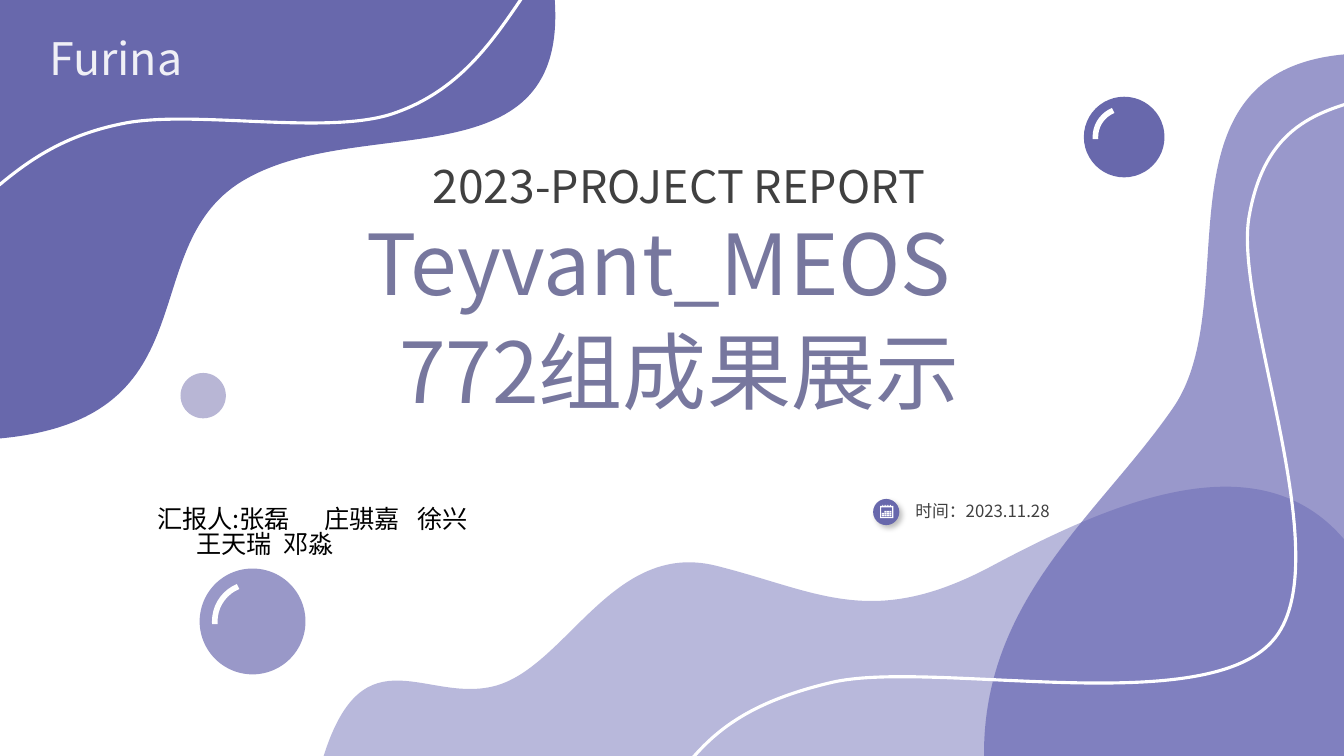
from dataclasses import dataclass

from lxml.etree import SubElement
from pptx import Presentation
from pptx.dml.color import RGBColor
from pptx.enum.shapes import MSO_SHAPE
from pptx.enum.text import MSO_ANCHOR, MSO_AUTO_SIZE, PP_ALIGN
from pptx.oxml.ns import qn
from pptx.util import Inches, Pt

FONT = "Noto Sans CJK SC"
COLORS = {
    "violet": "6362B0", "deep": "6868AC", "ball": "9998C8", "dot": "B8B6D5",
    "title": "77779E", "text": "404040", "black": "000000", "white": "FFFFFF",
}


@dataclass
class Curve:
    """Each step holds an end point, or two control points and an end point."""
    box: tuple[float, ...]
    start: tuple[float, float]
    steps: list[tuple[float, ...]]
    color: str
    alpha: int = 100
    closed: bool = True


@dataclass
class Ball:
    left: float
    top: float
    size: float
    color: str
    inset: float = 0


@dataclass
class Label:
    """Each line is a list of (text, size) runs."""
    box: tuple[float, ...]
    lines: list[list[tuple[str, float]]]
    color: str
    align: PP_ALIGN = PP_ALIGN.CENTER
    alpha: int = 100
    spacing: float = 0.89
    right: float = 0.1
    tabs: tuple[tuple[float, ...], ...] = ()


CURVES = [
    Curve((3.21, 4.83, 10.12, 2.67), (4.93, 6.8), [
        (5.63, 6.59, 6.08, 5.37, 7.09, 5.61), (8.1, 5.86, 8.63, 6.25, 9.81, 5.63),
        (10.99, 5, 12.47, 4.34, 13.33, 5.35), (13.33, 7.5), (3.21, 7.5),
        (3.61, 6.24, 4.24, 7, 4.93, 6.8)], "violet", 45),
    Curve((0, -0.03, 5.51, 4.38), (0, 0), [
        (5.5, -0.03), (5.65, 1.83, 3.61, 1.12, 2.45, 1.77),
        (1.29, 2.41, 2.15, 4.15, 0, 4.35), (0, 0)], "deep"),
    Curve((9.76, 0.54, 3.57, 6.96), (11.64, 4.04), [
        (12.36, 2.98, 11.39, 0.72, 13.33, 0.54), (13.33, 7.5), (9.76, 7.5),
        (9.75, 5.93, 10.91, 5.1, 11.64, 4.04)], "violet", 65),
    Curve((6.69, 0.96, 6.92, 6.78), (13.61, 0.96), [
        (13.08, 1.1, 12.55, 1.24, 12.39, 2.14), (12.22, 3.04, 13.31, 5.59, 12.62, 6.36),
        (11.93, 7.14, 9.24, 6.54, 8.25, 6.77), (7.27, 7, 6.98, 7.37, 6.69, 7.74)],
        "white", closed=False),
    Curve((-0.2, -0.07, 5.41, 2.07), (-0.2, 2), [
        (0.16, 1.69, 0.52, 1.37, 1.2, 1.23), (1.88, 1.08, 3.22, 1.35, 3.89, 1.13),
        (4.55, 0.91, 4.88, 0.42, 5.21, -0.07)], "white", closed=False),
]
BALLS = [
    Ball(1.98, 5.64, 1.05, "ball", 0.15),
    Ball(10.75, 0.96, 0.8, "deep", 0.115),
    Ball(1.79, 3.7, 0.45, "dot"),
]
TITLE = Label((0.95, 2.17, 11.57, 1.11), [[("Teyvant_MEOS", 60)]], "title", right=0.5)
LABELS = [
    Label((3.71, 1.58, 6.05, 0.65), [[("2023", 33), ("-PROJECT REPORT", 32)]], "text"),
    Label((0.33, 0.32, 1.64, 0.64), [[("Furina", 32)]], "white", alpha=90),
    Label((1.46, 4.99, 4.73, 0.71),
          [[("汇报人:张磊\t庄骐嘉\t徐兴", 18)], [("\t王天瑞\t邓淼", 18)]],
          "black", PP_ALIGN.LEFT, spacing=0.83, tabs=((1.66, 2.58), (0.39, 1.25))),
    Label((3.4, 3.24, 6.67, 1.11), [[("772组成果展示", 60)]], "title"),
]
DATE = Label((8.98, 4.94, 1.88, 0.3), [[("时间：2023.11.28", 12)]], "text", PP_ALIGN.LEFT)


def rgb(name: str) -> RGBColor:
    return RGBColor.from_string(COLORS[name])


def fade(node, alpha: int) -> None:
    """Make the first colour below the node partly transparent."""
    if alpha < 100:
        SubElement(node.find(".//" + qn("a:srgbClr")), qn("a:alpha"), val=str(alpha * 1000))


def paint(shape, color: str, alpha: int = 100) -> None:
    shape.shadow.inherit = False
    shape.fill.solid()
    shape.fill.fore_color.rgb = rgb(color)
    fade(shape._element.spPr, alpha)
    shape.line.fill.background()


def stroke(shape, color: str, width: float) -> None:
    shape.shadow.inherit = False
    shape.fill.background()
    shape.line.color.rgb = rgb(color)
    shape.line.width = Pt(width)


def place(shape, box: tuple[float, ...]) -> None:
    shape.left, shape.top, shape.width, shape.height = map(Inches, box)


def add_curve(shapes, curve: Curve) -> None:
    """Build the outline, then give its steps their Bezier controls."""
    pen = shapes.build_freeform(*map(Inches, curve.start), scale=1.0)
    pen.add_line_segments([tuple(map(Inches, s[-2:])) for s in curve.steps], curve.closed)
    shape = pen.convert_to_shape()
    place(shape, curve.box)
    path = shape._element.find(".//" + qn("a:path"))
    path.set("w", str(shape.width))
    path.set("h", str(shape.height))
    for node in list(path):
        path.remove(node)
    for i, step in enumerate([curve.start, *curve.steps]):
        tag = "a:moveTo" if i == 0 else "a:lnTo" if len(step) == 2 else "a:cubicBezTo"
        node = SubElement(path, qn(tag))
        for x, y in zip(step[::2], step[1::2]):
            SubElement(node, qn("a:pt"), x=str(Inches(x) - shape.left),
                       y=str(Inches(y) - shape.top))
    if curve.closed:
        SubElement(path, qn("a:close"))
        paint(shape, curve.color, curve.alpha)
    else:
        stroke(shape, curve.color, 2.25)


def add_ball(shapes, ball: Ball):
    """Draw a disc, with a light arc on it if it has an inset."""
    if ball.inset:
        shapes = shapes.add_group_shape().shapes
    disc = shapes.add_shape(MSO_SHAPE.OVAL, *map(Inches, (
        ball.left, ball.top, ball.size, ball.size)))
    paint(disc, ball.color)
    if ball.inset:
        size = ball.size - 2 * ball.inset
        shine = shapes.add_shape(MSO_SHAPE.ARC, *map(Inches, (
            ball.left + ball.inset, ball.top + ball.inset, size, size)))
        shine.adjustments[0], shine.adjustments[1] = 105.538, 148.533
        stroke(shine, "white", 4)
    return disc


def write(shape, label: Label) -> None:
    place(shape, label.box)
    frame = shape.text_frame
    frame.word_wrap = True
    frame.auto_size = MSO_AUTO_SIZE.NONE
    frame.vertical_anchor = MSO_ANCHOR.TOP
    frame.margin_right = Inches(label.right)
    for i, line in enumerate(label.lines):
        para = frame.add_paragraph() if i else frame.paragraphs[0]
        para.alignment = label.align
        para.line_spacing = label.spacing
        if label.tabs:
            stops = SubElement(para._p.get_or_add_pPr(), qn("a:tabLst"))
            for stop in label.tabs[i]:
                SubElement(stops, qn("a:tab"), pos=str(Inches(stop)), algn="l")
        font = para.font
        font.name, font.size = FONT, Pt(line[-1][1])
        font.color.rgb = rgb(label.color)
        props = para._p.pPr.find(qn("a:defRPr"))
        SubElement(props, qn("a:ea"), typeface=FONT)
        fade(props, label.alpha)
        for text, size in line:
            run = para.add_run()
            run.text = text
            if size != line[-1][1]:
                run.font.size = Pt(size)


def add_label(shapes, label: Label) -> None:
    write(shapes.add_textbox(*map(Inches, label.box)), label)


def add_date(shapes) -> None:
    """Draw the calendar badge and the date beside it."""
    shapes = shapes.add_group_shape().shapes
    disc = add_ball(shapes, Ball(8.66, 4.95, 0.26, "deep"))
    glow = SubElement(disc._element.spPr.find(qn("a:effectLst")), qn("a:outerShdw"),
                      blurRad=str(Pt(4)), dist=str(Pt(3)), dir="2700000")
    SubElement(SubElement(glow, qn("a:srgbClr"), val=COLORS["black"]),
               qn("a:alpha"), val="25000")
    rects = [(8.73, 5.02, 0.13, 0.12), (8.74, 5.035, 0.11, 0.095)]
    rects += [(8.747 + 0.025 * col, 5.068 + 0.02 * row, 0.02, 0.015)
              for row in range(3) for col in range(4) if row or col]
    rects += [(8.75 + 0.016 * ring, 5.01, 0.006, 0.01) for ring in range(6)]
    pen = shapes.build_freeform(Inches(8.73), Inches(5.02), scale=1.0)
    for i, (x, y, w, h) in enumerate(rects):
        if i:
            pen.move_to(Inches(x), Inches(y))
        ends = [(x + w, y), (x + w, y + h), (x, y + h)]
        pen.add_line_segments([tuple(map(Inches, end)) for end in ends])
    paint(pen.convert_to_shape(), "white")
    add_label(shapes, DATE)


def main() -> None:
    deck = Presentation()
    deck.slide_width, deck.slide_height = Inches(13.33), Inches(7.5)
    shapes = deck.slides.add_slide(deck.slide_layouts[5]).shapes
    for curve in CURVES:
        add_curve(shapes, curve)
    for ball in BALLS:
        add_ball(shapes, ball)
    write(shapes.title, TITLE)
    shapes._spTree.append(shapes.title._element)
    for label in LABELS:
        add_label(shapes, label)
    add_date(shapes)
    deck.save("out.pptx")


if __name__ == "__main__":
    main()
